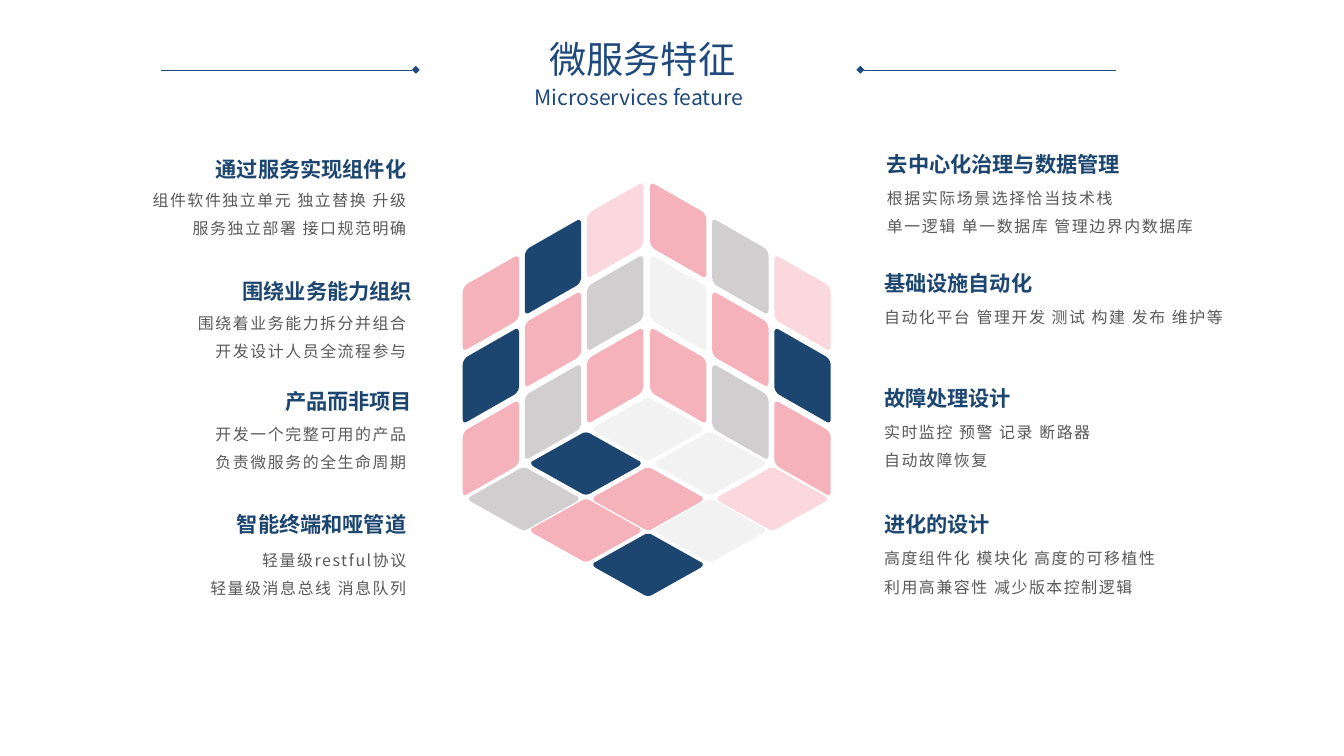
from lxml import etree
from pptx import Presentation
from pptx.dml.color import RGBColor
from pptx.enum.shapes import MSO_CONNECTOR
from pptx.enum.text import MSO_ANCHOR, PP_ALIGN
from pptx.oxml.ns import qn
from pptx.util import Inches, Pt

LEFT, CENTER, RIGHT = PP_ALIGN.LEFT, PP_ALIGN.CENTER, PP_ALIGN.RIGHT
TOP, MIDDLE = MSO_ANCHOR.TOP, MSO_ANCHOR.MIDDLE
STRAIGHT = MSO_CONNECTOR.STRAIGHT

NAVY = RGBColor(0x1C, 0x46, 0x70)
BLUE = RGBColor(0x1F, 0x49, 0x7D)
TEXT = RGBColor(0x59, 0x59, 0x59)
PINK = RGBColor(0xF5, 0xB2, 0xBA)
PALE = RGBColor(0xFA, 0xD8, 0xDD)
GREY = RGBColor(0xD0, 0xCE, 0xCE)
MIST = RGBColor(0xF2, 0xF2, 0xF2)

NOTO = "Noto Sans CJK SC"

WALL = [
    [(0, 0.04), (0, 0.01), (0.02, -0.01), (0.05, 0.01)],
    [(0.54, 0.29), (0.57, 0.31), (0.59, 0.35), (0.59, 0.38)],
    [(0.59, 0.94), (0.59, 0.98), (0.57, 0.99), (0.54, 0.97)],
    [(0.05, 0.69), (0.02, 0.67), (0, 0.63), (0, 0.6)],
]
MIRROR = [[(0.59 - x, y) for x, y in curve] for curve in WALL]
FLOOR = [
    [(0.52, 0.01), (0.55, -0.01), (0.59, -0.01), (0.62, 0.01)],
    [(1.12, 0.29), (1.15, 0.3), (1.15, 0.33), (1.12, 0.35)],
    [(0.62, 0.63), (0.59, 0.65), (0.55, 0.65), (0.52, 0.63)],
    [(0.02, 0.35), (-0.01, 0.33), (-0.01, 0.3), (0.02, 0.29)],
]

LEFT_FACE = [[PALE, GREY, PINK], [NAVY, PINK, GREY], [PINK, NAVY, PINK]]
RIGHT_FACE = [[PINK, MIST, PINK], [GREY, PINK, GREY], [PALE, NAVY, PINK]]
FLOOR_FACE = [[MIST, MIST, PALE], [NAVY, PINK, MIST], [GREY, PINK, NAVY]]
FLOOR_TOPS = [2.25, 2.61, 2.98, 3.31, 3.67]

LEFT_ITEMS = [
    ((4.35, 1.59), (4.35, 1.85), "通过服务实现组件化",
     ["组件软件独立单元 独立替换 升级", "服务独立部署 接口规范明确"]),
    ((4.41, 2.86), (4.35, 3.14), "围绕业务能力组织",
     ["围绕着业务能力拆分并组合", "开发设计人员全流程参与"]),
    ((4.41, 4.01), (4.35, 4.3), "产品而非项目",
     ["开发一个完整可用的产品", "负责微服务的全生命周期"]),
    ((4.35, 5.3), (4.35, 5.62), "智能终端和哑管道",
     ["轻量级restful协议", "轻量级消息总线 消息队列"]),
]
RIGHT_ITEMS = [
    ((9.18, 1.53), (9.18, 1.83), "去中心化治理与数据管理",
     ["根据实际场景选择恰当技术栈", "单一逻辑 单一数据库 管理边界内数据库"]),
    ((9.15, 2.78), (9.15, 3.08), "基础设施自动化",
     ["自动化平台 管理开发 测试 构建 发布 维护等"]),
    ((9.15, 3.98), (9.15, 4.28), "故障处理设计",
     ["实时监控 预警 记录 断路器", "自动故障恢复"]),
    ((9.15, 5.3), (9.15, 5.6), "进化的设计",
     ["高度组件化 模块化 高度的可移植性", "利用高兼容性 减少版本控制逻辑"]),
]


def add_text(slide, box, lines, size, color, align, face=NOTO, bold=False,
             space=None, before=0, track=0, anchor=TOP):
    frame = slide.shapes.add_textbox(*map(Inches, box)).text_frame
    frame.word_wrap = True
    frame.vertical_anchor = anchor
    frame.text = "\n".join(lines)
    for para in frame.paragraphs:
        para.alignment = align
        para.line_spacing = space
        para.space_before = Pt(before)
        font = para.font
        font.name, font.size, font.bold = face, Pt(size), bold
        font.color.rgb = color
        props = para._p.pPr.find(qn("a:defRPr"))
        if face == NOTO:
            east = etree.Element(qn("a:ea"), typeface=face)
            props.find(qn("a:latin")).addnext(east)
        if track:
            props.set("spc", str(track))


def add_rule(slide, start, end, y):
    line = slide.shapes.add_connector(
        STRAIGHT, Inches(start), Inches(y), Inches(end), Inches(y))
    line.line.color.rgb = BLUE
    line.line.width = Pt(0.25)
    props = line._element.spPr
    etree.SubElement(props.find(qn("a:ln")), qn("a:headEnd"), type="diamond")
    etree.SubElement(props, qn("a:effectLst"))


def add_header(slide, x, y, width):
    mid = x + width / 2
    add_rule(slide, x + 2.67, x, y + 0.32)
    add_rule(slide, x + width - 2.67, x + width, y + 0.32)
    add_text(slide, (mid - 2.57, y + 0.39, 5.16, 0.47), ["Microservices feature"],
             16, BLUE, CENTER, space=0.9, before=10, anchor=MIDDLE)
    add_text(slide, (mid - 3.02, y, 6.13, 0.47), ["微服务特征"],
             28, BLUE, CENTER, face="Arial", space=0.9, before=10, anchor=MIDDLE)


def bend(curve, steps=6):
    a, b, c, d = curve
    for k in range(steps + 1):
        t = k / steps
        u = 1 - t
        yield tuple(u**3 * p + 3 * u * u * t * q + 3 * u * t * t * r + t**3 * s
                    for p, q, r, s in zip(a, b, c, d))


def add_tile(slide, x, y, outline, color):
    points = [(Inches(x + px), Inches(y + py))
              for curve in outline for px, py in bend(curve)]
    form = slide.shapes.build_freeform(*points[0])
    form.add_line_segments(points[1:])
    tile = form.convert_to_shape()
    tile.shadow.inherit = False
    tile.fill.solid()
    tile.fill.fore_color.rgb = color
    tile.line.fill.background()


def add_cube(slide, x, y):
    for col in range(3):
        for row in range(3):
            top = y + 0.38 * (col + 2 * row)
            add_tile(slide, x + 1.3 - 0.65 * col, top, MIRROR, LEFT_FACE[col][row])
            add_tile(slide, x + 1.96 + 0.65 * col, top, WALL, RIGHT_FACE[col][row])
    for row in range(3):
        for col in range(3):
            add_tile(slide, x + 1.37 + 0.65 * (col - row),
                     y + FLOOR_TOPS[row + col], FLOOR, FLOOR_FACE[row][col])


def add_items(slide, items, align):
    for head, body, title, lines in items:
        for (x, y), width, text, style in (
            (head, 3, [title], dict(size=16, color=NAVY, bold=True)),
            (body, 3.85, lines,
             dict(size=12, color=TEXT, space=Pt(21.2), track=120)),
        ):
            left = x - width if align == RIGHT else x
            height = 0.37 if len(text) == 1 else 0.71
            add_text(slide, (left, y, width, height), text, align=align, **style)


def main():
    deck = Presentation()
    deck.slide_width, deck.slide_height = Inches(14.06), Inches(7.91)
    slide = deck.slides.add_slide(deck.slide_layouts[6])
    add_cube(slide, 4.84, 1.92)
    add_header(slide, 1.68, 0.41, 9.99)
    add_items(slide, LEFT_ITEMS, RIGHT)
    add_items(slide, RIGHT_ITEMS, LEFT)
    deck.save("out.pptx")


if __name__ == "__main__":
    main()
